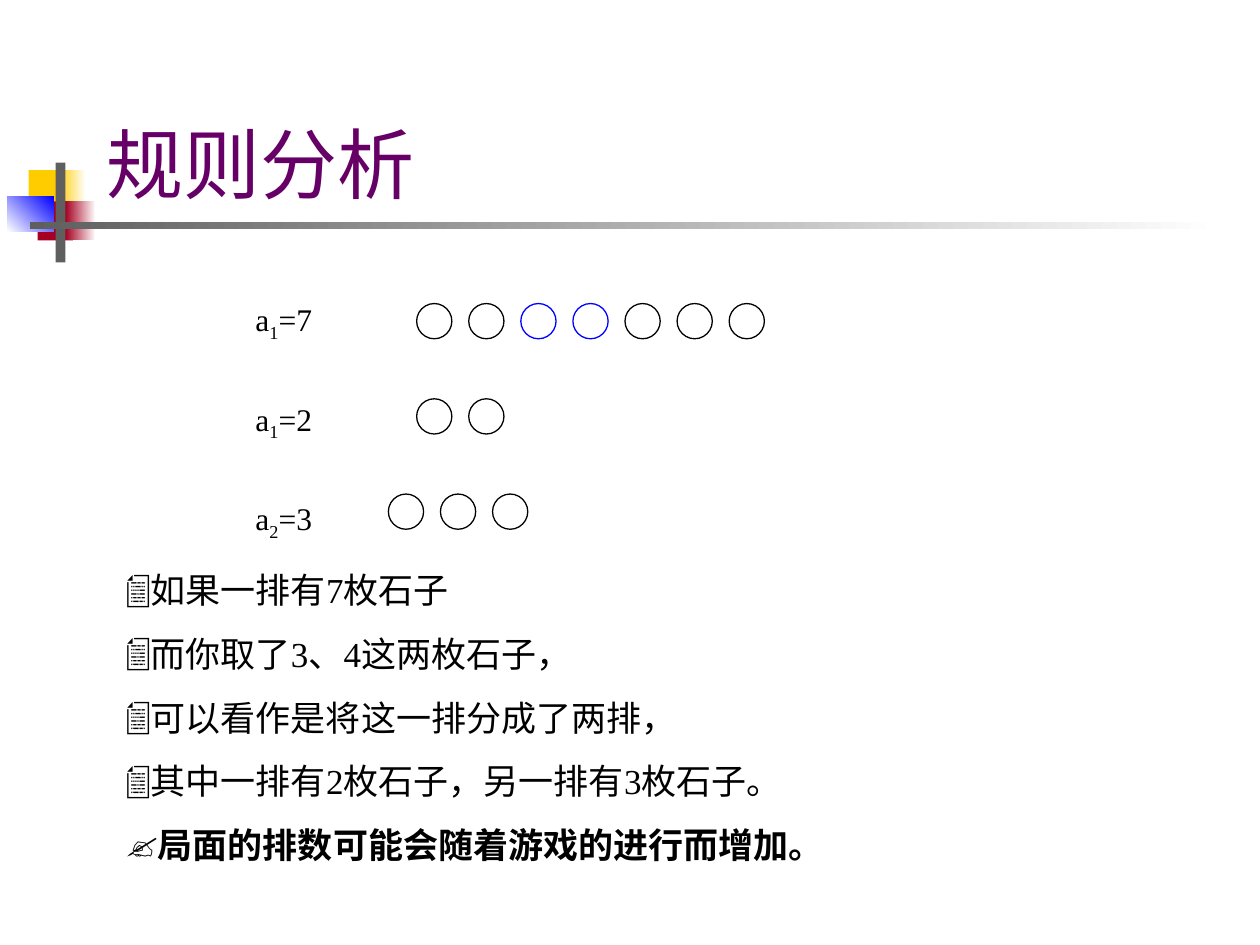
from lxml.etree import SubElement
from pptx import Presentation
from pptx.dml.color import RGBColor
from pptx.enum.shapes import MSO_SHAPE
from pptx.enum.text import MSO_ANCHOR, PP_ALIGN
from pptx.oxml.ns import qn
from pptx.util import Cm, Pt

COLORS = {
    "white": "FFFFFF", "black": "000000", "blue": "0000FF", "gold": "FFCC00",
    "red": "A50021", "gray": "5F5F5F", "plum": "660066",
}
SERIF = "Times New Roman"
TITLE = "规则分析"
DECOR = [
    ((0.58, 3.43, 0.74, 0.79), "gold", None, 0),
    ((1.17, 3.43, 0.56, 0.79), "white", "gold", 180),
    ((0.76, 4.06, 0.71, 0.79), "red", None, 0),
    ((1.32, 4.06, 0.61, 0.79), "white", "red", 180),
    ((0.15, 3.96, 0.94, 0.71), "blue", "white", 225),
    ((1.12, 3.28, 0.2, 2.01), "gray", None, 0),
    ((0.61, 4.47, 24, 0.15), "white", "gray", 180),
]
ROWS = [
    {"sub": "1", "count": 7, "left": 8.4, "taken": (3, 4)},
    {"sub": "1", "count": 2, "left": 8.4, "taken": ()},
    {"sub": "2", "count": 3, "left": 7.83, "taken": ()},
]
NOTES = [
    ("📄", "如果一排有7枚石子"),
    ("📄", "而你取了3、4这两枚石子，"),
    ("📄", "可以看作是将这一排分成了两排，"),
    ("📄", "其中一排有2枚石子，另一排有3枚石子。"),
    ("✍", "局面的排数可能会随着游戏的进行而增加。"),
]
LABEL_TOP, LABEL_STEP = 5.92, 2.01
STONE_TOP, STONE_STEP = 6.12, 1.92
STONE, PITCH = 0.71, 1.05


def rgb(name):
    return RGBColor.from_string(COLORS[name])


def style(font, size, face, color):
    font.size, font.name = Pt(size), face
    font.color.rgb = rgb(color)


def add_box(shapes, *place):
    frame = shapes.add_textbox(*map(Cm, place)).text_frame
    frame.word_wrap = True
    return frame


def add_form(shapes, kind, place, color):
    shape = shapes.add_shape(kind, *map(Cm, place))
    shape.shadow.inherit = False
    shape.fill.solid()
    shape.fill.fore_color.rgb = rgb(color)
    return shape


def add_decor(shapes, place, start, end, angle):
    shape = add_form(shapes, MSO_SHAPE.RECTANGLE, place, start)
    shape.line.fill.background()
    if end:
        shape.fill.gradient()
        shape.fill.gradient_angle = angle
        for stop, color in zip(shape.fill.gradient_stops, (start, end)):
            stop.color.rgb = rgb(color)


def add_row(shapes, index, row):
    group = shapes.add_group_shape().shapes
    frame = add_box(group, 4.9, LABEL_TOP + index * LABEL_STEP, 3.15, 1.22)
    para = frame.paragraphs[0]
    para.alignment = PP_ALIGN.JUSTIFY
    for text in ("a", row["sub"], f"={row['count']}"):
        run = para.add_run()
        run.text = text
        style(run.font, 18, SERIF, "black")
    para.runs[1]._r.get_or_add_rPr().set("baseline", "-25000")
    top = STONE_TOP + index * STONE_STEP
    for number in range(1, row["count"] + 1):
        place = (row["left"] + (number - 1) * PITCH, top, STONE, STONE)
        stone = add_form(group, MSO_SHAPE.OVAL, place, "white")
        stone.line.width = Pt(0.75)
        stone.line.color.rgb = rgb("blue" if number in row["taken"] else "black")


def add_bullet(para, mark):
    props = para._p.get_or_add_pPr()
    tint = SubElement(props, qn("a:buClr"))
    SubElement(tint, qn("a:srgbClr"), val=COLORS["black"])
    SubElement(props, qn("a:buFont"), typeface=SERIF)
    SubElement(props, qn("a:buChar"), char=mark)


def add_notes(shapes):
    frame = add_box(shapes, 2.29, 11.33, 19.81, 6.25)
    frame.text = "\n".join(text for _, text in NOTES)
    for index, (para, (mark, _)) in enumerate(zip(frame.paragraphs, NOTES)):
        if index:
            para.space_before = Pt(12.5)
        add_bullet(para, mark)
        font = para.runs[0].font
        style(font, 20, SERIF, "black")
        font.bold = index == len(NOTES) - 1


def main():
    deck = Presentation()
    deck.slide_width, deck.slide_height = Cm(25.4), Cm(19.05)
    shapes = deck.slides.add_slide(deck.slide_layouts[6]).shapes
    for item in DECOR:
        add_decor(shapes, *item)
    title = add_box(shapes, 1.9, 1.7, 22.45, 3.18)
    title.vertical_anchor = MSO_ANCHOR.MIDDLE
    title.text = TITLE
    style(title.paragraphs[0].runs[0].font, 44, "Arial", "plum")
    for index, row in enumerate(ROWS):
        add_row(shapes, index, row)
    add_notes(shapes)
    deck.save("out.pptx")


if __name__ == "__main__":
    main()
